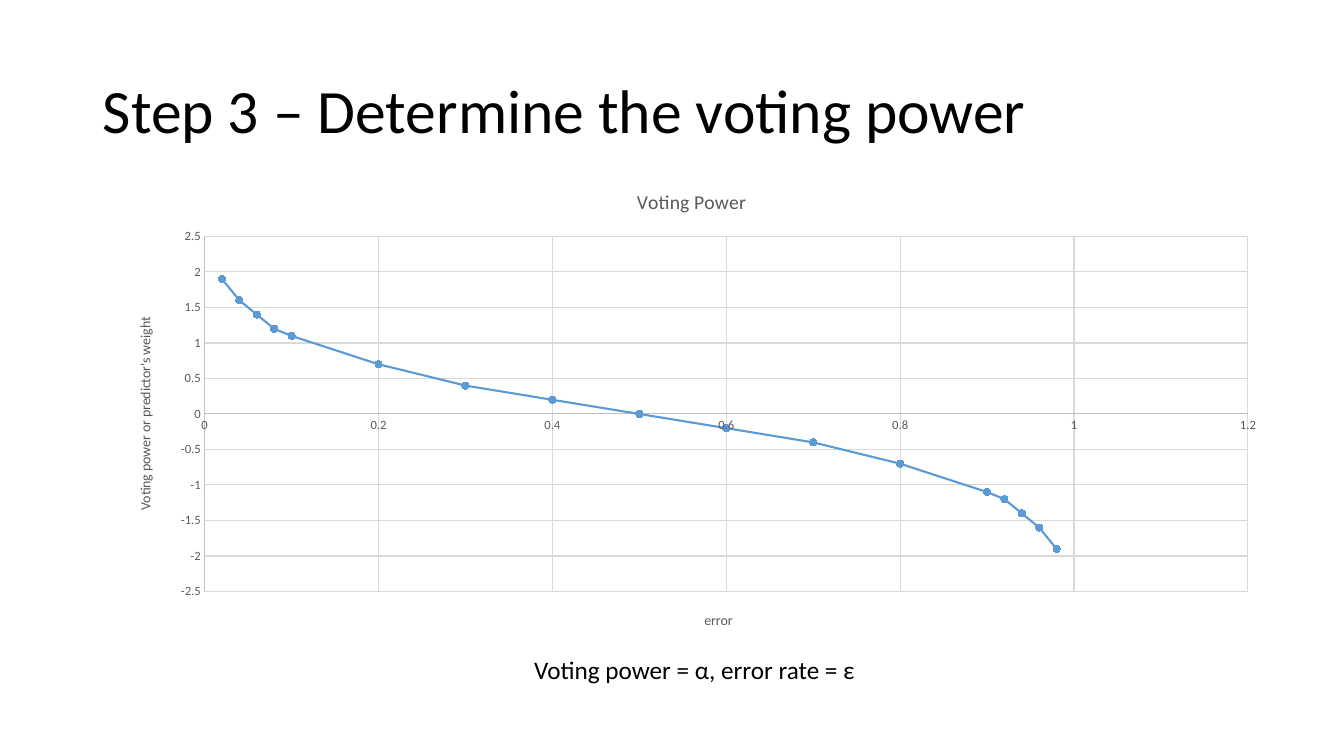
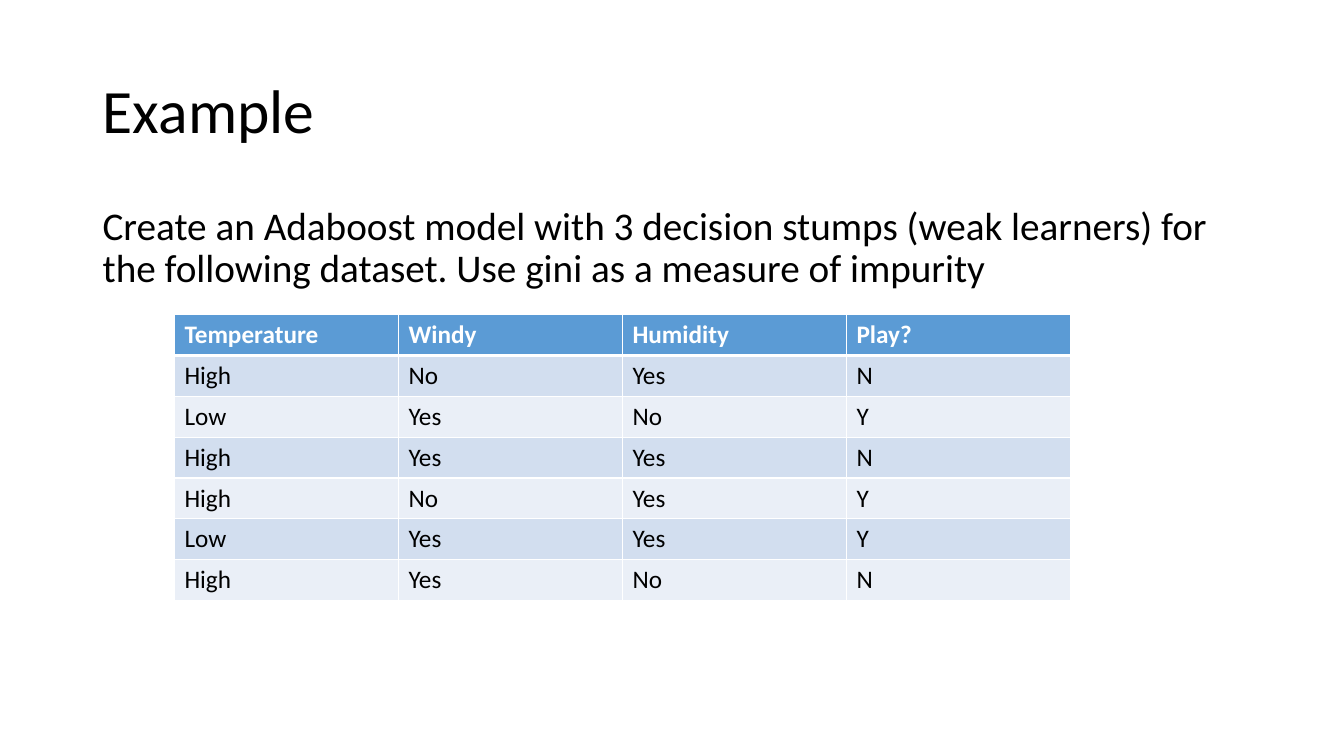
from math import log

from lxml import etree
from pptx import Presentation
from pptx.chart.data import XyChartData
from pptx.dml.color import RGBColor
from pptx.enum.chart import XL_CHART_TYPE, XL_MARKER_STYLE, XL_TICK_MARK
from pptx.enum.text import MSO_ANCHOR, MSO_AUTO_SIZE, PP_ALIGN
from pptx.oxml import parse_xml
from pptx.oxml.ns import nsdecls, qn
from pptx.util import Inches, Pt

SCATTER = XL_CHART_TYPE.XY_SCATTER_LINES
CIRCLE = XL_MARKER_STYLE.CIRCLE
NO_TICK = XL_TICK_MARK.NONE
LEFT = PP_ALIGN.LEFT
MIDDLE = MSO_ANCHOR.MIDDLE
NO_FIT = MSO_AUTO_SIZE.NONE
GROW = MSO_AUTO_SIZE.SHAPE_TO_FIT_TEXT

FONT = "Calibri"
COLORS = {
    "ink": "000000",
    "paper": "FFFFFF",
    "blue": "5B9BD5",
    "dark": "D2DEEF",
    "light": "EAEFF7",
    "label": "595959",
    "axis": "BFBFBF",
    "grid": "D9D9D9",
}
MARGIN, SPAN = 6.9, 86.25  # percent of the slide's width


def rgb(name):
    return RGBColor.from_string(COLORS[name])


class Deck:
    """Holds the style and the current slide; places are percent of the slide."""

    def __init__(self):
        self.prs = Presentation()
        self.prs.slide_width = Inches(13.33)
        self.prs.slide_height = Inches(7.5)
        self.slide = None

    def box(self, left, top, width, height):
        """Turn percent of the slide into lengths."""
        wide, high = self.prs.slide_width, self.prs.slide_height
        return [int(share * side / 100) for share, side in
                ((left, wide), (top, high), (width, wide), (height, high))]

    def style(self, font, size, color="ink", bold=False):
        font.name, font.size, font.bold = FONT, Pt(size), bold
        font.color.rgb = rgb(color)

    def add_run(self, frame, text, size, color="ink", bold=False):
        """Add one run to the first paragraph of a text frame."""
        para = frame.paragraphs[0]
        run = para.add_run()
        run.text = text
        self.style(run.font, size, color, bold)
        return para

    def page(self, title):
        self.slide = self.prs.slides.add_slide(self.prs.slide_layouts[5])
        shape = self.slide.shapes.title
        place = self.box(MARGIN, 5.33, SPAN, 19.33)
        shape.left, shape.top, shape.width, shape.height = place
        frame = shape.text_frame
        frame.auto_size, frame.word_wrap = NO_FIT, True
        frame.vertical_anchor = MIDDLE
        para = self.add_run(frame, title, 44)
        para.alignment, para.line_spacing = LEFT, 0.9

    def text(self, place, text, size, fit=NO_FIT):
        frame = self.slide.shapes.add_textbox(*self.box(*place)).text_frame
        frame.word_wrap, frame.auto_size = True, fit
        return self.add_run(frame, text, size)

    def axis(self, axis, title, low, high, step):
        axis.minimum_scale, axis.maximum_scale = low, high
        axis.major_unit = step
        axis.major_tick_mark = axis.minor_tick_mark = NO_TICK
        axis.has_major_gridlines = True
        for line, color in ((axis.format.line, "axis"),
                            (axis.major_gridlines.format.line, "grid")):
            line.color.rgb, line.width = rgb(color), Pt(0.75)
        self.style(axis.tick_labels.font, 9, "label")
        self.add_run(axis.axis_title.text_frame, title, 10, "label")

    def chart(self, place, title, points, axes, inner):
        """Draw a scatter chart; inner is the plot's x, y, w, h in the chart."""
        data = XyChartData()
        series = data.add_series("Series 1")
        for x, y in points:
            series.add_data_point(x, y)
        frame = self.slide.shapes.add_chart(SCATTER, *self.box(*place), data)
        chart = frame.chart
        self.style(chart.font, 10)
        chart.has_legend = False
        self.add_run(chart.chart_title.text_frame, title, 14, "label")
        chart.chart_title.include_in_layout = False
        for axis, scale in zip((chart.category_axis, chart.value_axis), axes):
            self.axis(axis, *scale)

        plot = chart.plots[0]
        plot.vary_by_categories = False
        curve = plot.series[0]
        curve.smooth = False
        curve.format.line.color.rgb = rgb("blue")
        curve.format.line.width = Pt(1.5)
        mark = curve.marker
        mark.style, mark.size = CIRCLE, 5
        mark.format.fill.solid()
        mark.format.fill.fore_color.rgb = rgb("blue")
        mark.format.line.color.rgb = rgb("blue")
        self.layout(chart, inner)

    def layout(self, chart, inner):
        """Fix the plot's place inside the chart."""
        area = chart.element.find(".//" + qn("c:plotArea")) \
            if hasattr(chart, "element") else \
            chart._chartSpace.find(".//" + qn("c:plotArea"))
        for old in area.findall(qn("c:layout")):
            area.remove(old)
        parts = [("layoutTarget", "inner"), ("xMode", "edge"), ("yMode", "edge")]
        parts += zip("xywh", inner)
        body = "".join(f'<c:{tag} val="{val}"/>' for tag, val in parts)
        area.insert(0, parse_xml(
            f'<c:layout {nsdecls("c")}><c:manualLayout>{body}'
            '</c:manualLayout></c:layout>'))

    def edges(self, cell, top, base):
        """Give a cell white borders; top and base are widths in points."""
        props = cell._tc.get_or_add_tcPr()
        sides = (("lnL", 1), ("lnR", 1), ("lnT", top), ("lnB", base))
        for spot, (tag, width) in enumerate(sides):
            line = etree.Element(qn(f"a:{tag}"), w=str(Pt(width)))
            fill = etree.SubElement(line, qn("a:solidFill"))
            etree.SubElement(fill, qn("a:srgbClr"), val=COLORS["paper"])
            props.insert(spot, line)

    def table(self, place, rows):
        left, top, width, height = self.box(*place)
        count, cols = len(rows), len(rows[0])
        table = self.slide.shapes.add_table(
            count, cols, left, top, width, height).table
        for col in table.columns:
            col.width = width // cols
        for r, row in enumerate(rows):
            table.rows[r].height = height // count
            head = r == 0
            fill = "blue" if head else ("light", "dark")[r % 2]
            for c, text in enumerate(row):
                cell = table.cell(r, c)
                cell.fill.solid()
                cell.fill.fore_color.rgb = rgb(fill)
                self.edges(cell, 3 if r == 1 else 1, 3 if head else 1)
                self.add_run(cell.text_frame, text, 18,
                             "paper" if head else "ink", head)


def power(error):
    """Weight of a predictor with this error rate."""
    return round(log((1 - error) / error) / 2, 1)


def main():
    deck = Deck()

    deck.page("Step 3 – Determine the voting power")
    ends = [0.02, 0.04, 0.06, 0.08]
    errors = ends + [n / 10 for n in range(1, 10)]
    errors += [round(1 - e, 2) for e in reversed(ends)]
    deck.chart(
        (8.33, 22.4, SPAN, 63.47), "Voting Power",
        [(e, power(e)) for e in errors],
        [("error", 0, 1.2, 0.2),
         ("Voting power or predictor's weight", -2.5, 2.5, 0.5)],
        (0.08, 0.14, 0.9, 0.74))
    deck.text((39, 85.87, 28.8, 5.33), "Voting power = α, error rate = ε",
              18, GROW)

    deck.page("Example")
    para = deck.text(
        (MARGIN, 26.67, SPAN, 63.47),
        "Create an Adaboost model with 3 decision stumps (weak learners) for "
        "the following dataset. Use gini as a measure of impurity", 28)
    para.line_spacing, para.space_before = 0.9, Pt(10)
    deck.table((12.98, 41.6, 66.67, 37.87), [
        ("Temperature", "Windy", "Humidity", "Play?"),
        ("High", "No", "Yes", "N"),
        ("Low", "Yes", "No", "Y"),
        ("High", "Yes", "Yes", "N"),
        ("High", "No", "Yes", "Y"),
        ("Low", "Yes", "Yes", "Y"),
        ("High", "Yes", "No", "N"),
    ])

    deck.prs.save("out.pptx")


if __name__ == "__main__":
    main()
